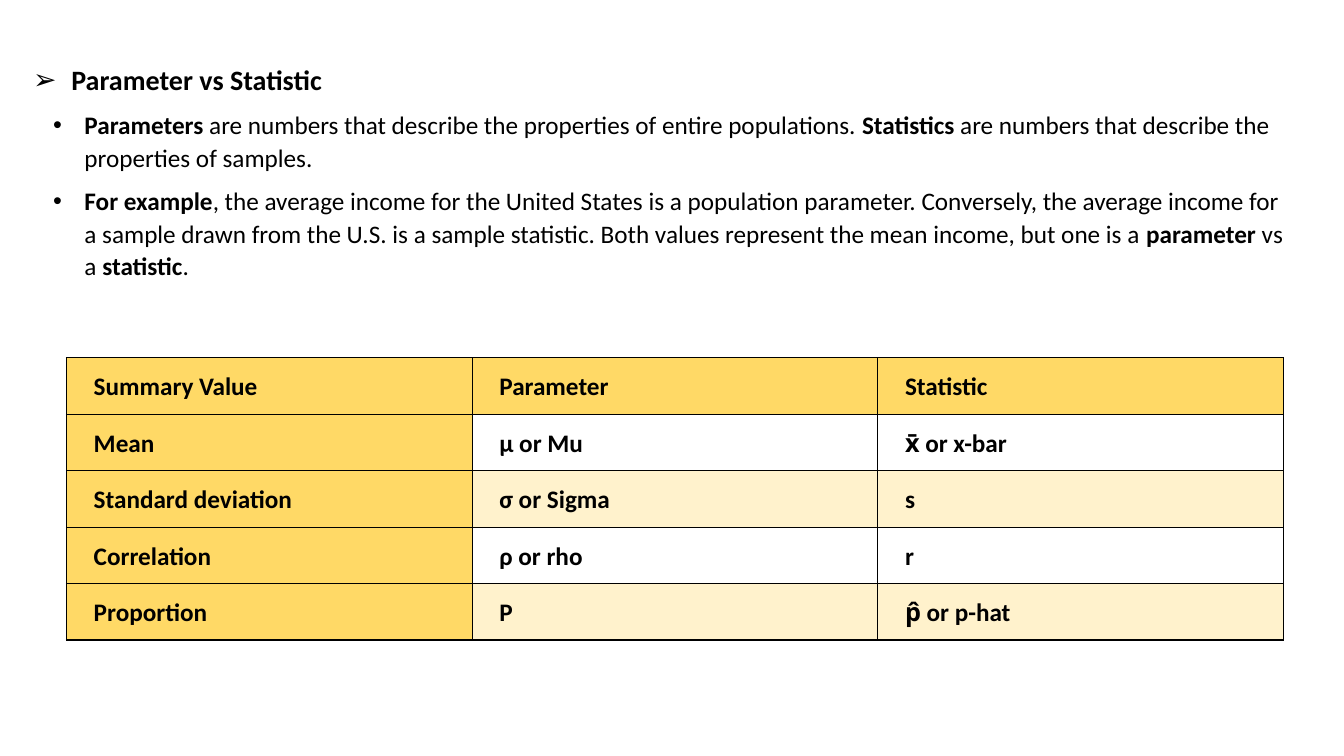
from dataclasses import dataclass

import pptx
import pptx.util
import pptx.dml.color
import pptx.enum.text
import pptx.oxml
import pptx.oxml.ns
from pptx.util import Inches, Pt


@dataclass(frozen=True)
class Theme:
    font: str = "Calibri"
    bullet_font: str = "Arial"
    ink: str = "000000"
    header: str = "FFD966"
    plain: str = "FFFFFF"
    band: str = "FFF2CC"
    heading_size: int = 20
    body_size: int = 18
    border_width: int = 1


THEME = Theme()
SPACING = {"line_spacing": 1.07, "space_after": Pt(8)}

# Each line is a list of (words, bold) pieces
HEADING = [("Parameter vs Statistic", True)]
POINTS = [
    [("Parameters", True),
     (" are numbers that describe the properties of entire populations. ", False),
     ("Statistics", True),
     (" are numbers that describe the properties of samples.", False)],
    [("For example", True),
     (", the average income for the United States is a population parameter. "
      "Conversely, the average income for a sample drawn from the U.S. is a "
      "sample statistic. Both values represent the mean income, but one is a ", False),
     ("parameter", True),
     (" vs a ", False),
     ("statistic", True),
     (".", False)],
]
SUMMARY_ROWS = [
    ("Summary Value", "Parameter", "Statistic"),
    ("Mean", "μ or Mu", "x̄ or x-bar"),
    ("Standard deviation", "σ or Sigma", "s"),
    ("Correlation", "ρ or rho", "r"),
    ("Proportion", "P", "p̂ or p-hat"),
]


def apply(target, formats):
    for attribute, value in formats.items():
        setattr(target, attribute, value)


def rgb(code):
    return pptx.dml.color.RGBColor.from_string(code)


def xml(markup):
    """Parse one drawing element, adding the a: namespace to its root."""
    tag, rest = markup.split(" ", 1)
    return pptx.oxml.parse_xml(f'{tag} {pptx.oxml.ns.nsdecls("a")} {rest}')


def write_line(paragraph, pieces, size, left, indent=0.0, bullet=None):
    apply(paragraph, SPACING)
    properties = paragraph._p.get_or_add_pPr()
    properties.set("marL", str(Inches(left)))
    properties.set("indent", str(Inches(indent)))
    if bullet:
        properties.append(xml(f'<a:buFont typeface="{THEME.bullet_font}"/>'))
        properties.append(xml(f'<a:buChar char="{bullet}"/>'))
    for words, bold in pieces:
        run = paragraph.add_run()
        run.text = words
        apply(run.font, {"name": THEME.font, "size": Pt(size), "bold": bold})
        run.font.color.rgb = rgb(THEME.ink)


def add_explanation(slide):
    explanation = slide.shapes.add_textbox(
        Inches(0.23), Inches(0.55), Inches(12.73), Inches(2.29))
    frame = explanation.text_frame
    apply(frame, {"word_wrap": True,
                  "auto_size": pptx.enum.text.MSO_AUTO_SIZE.SHAPE_TO_FIT_TEXT})
    write_line(frame.paragraphs[0], HEADING, THEME.heading_size, 0.38, -0.38, "➢")
    for point in POINTS:
        write_line(frame.add_paragraph(), point, THEME.body_size, 0.51, -0.31, "•")


def add_borders(cell):
    properties = cell._tc.get_or_add_tcPr()
    for position, side in enumerate(("lnL", "lnR", "lnT", "lnB")):
        properties.insert(position, xml(
            f'<a:{side} w="{Pt(THEME.border_width)}"><a:solidFill>'
            f'<a:srgbClr val="{THEME.ink}"/></a:solidFill></a:{side}>'))


def cell_color(row, column):
    if row == 0 or column == 0:
        return THEME.header
    return THEME.plain if row % 2 else THEME.band


def add_summary_table(slide):
    row_count, column_count = len(SUMMARY_ROWS), len(SUMMARY_ROWS[0])
    summary = slide.shapes.add_table(
        row_count, column_count, Inches(0.66), Inches(3.55),
        Inches(12.07), Inches(0.56 * row_count)).table
    apply(summary, {"first_row": False, "horz_banding": False})
    cell_format = {"margin_left": Inches(0.07), "margin_right": Inches(0.07),
                   "margin_top": 0, "margin_bottom": 0,
                   "vertical_anchor": pptx.enum.text.MSO_ANCHOR.MIDDLE}
    for row, values in enumerate(SUMMARY_ROWS):
        for column, value in enumerate(values):
            cell = summary.cell(row, column)
            apply(cell, cell_format)
            cell.fill.solid()
            cell.fill.fore_color.rgb = rgb(cell_color(row, column))
            add_borders(cell)
            write_line(cell.text_frame.paragraphs[0], [(value, True)],
                       THEME.body_size, 0.2)


def main():
    deck = pptx.Presentation()
    apply(deck, {"slide_width": Inches(13.33), "slide_height": Inches(7.5)})
    slide = deck.slides.add_slide(deck.slide_layouts[6])

    # Heading and bullet points
    add_explanation(slide)

    # Symbols for each summary value
    add_summary_table(slide)

    deck.save("out.pptx")


if __name__ == "__main__":
    main()
